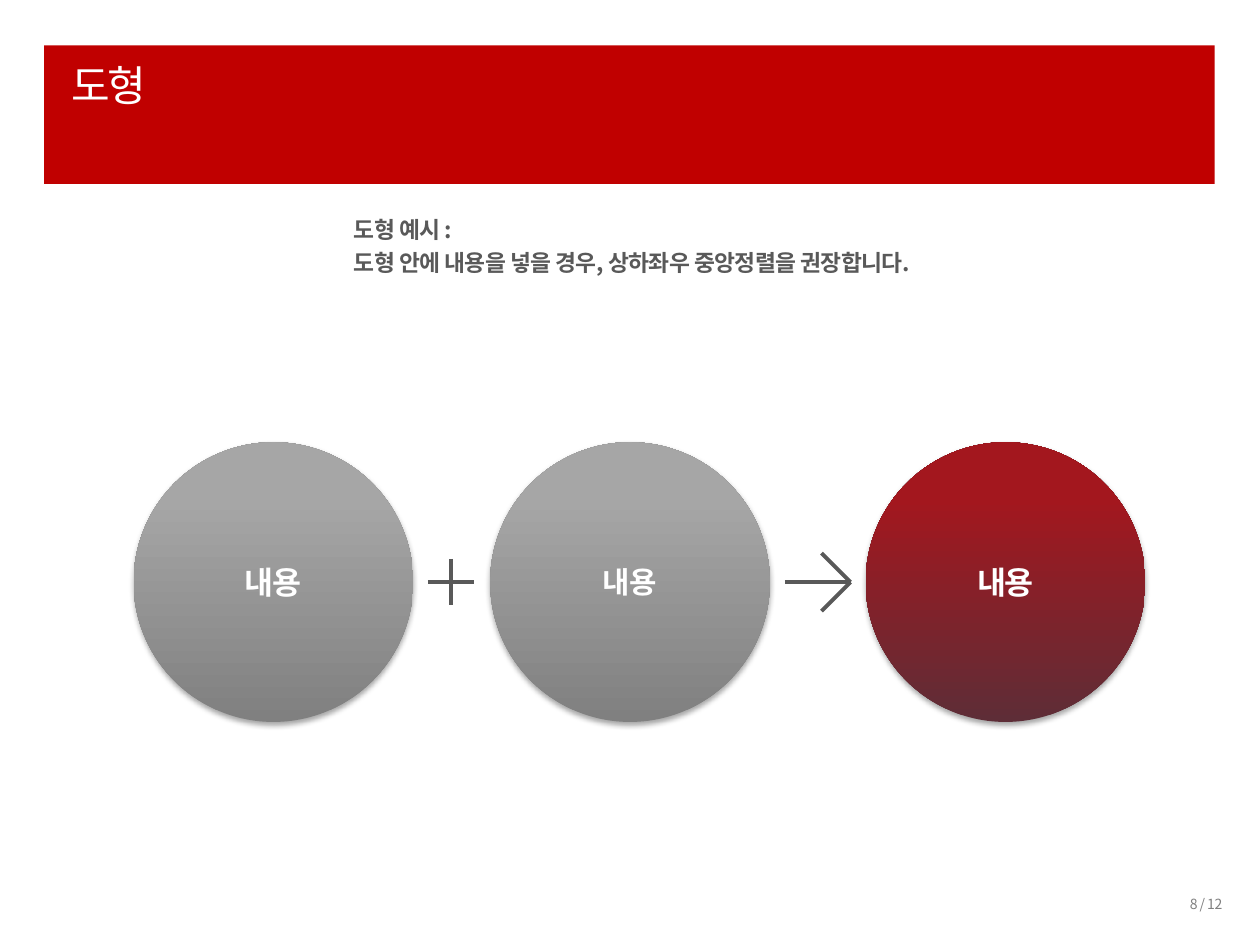
from lxml import etree
from pptx import Presentation
from pptx.dml.color import RGBColor
from pptx.enum import shapes, text
from pptx.oxml.ns import qn
from pptx.util import Inches, Pt

# Content
TITLE = "도형"
GUIDE = ["도형 예시 :", "도형 안에 내용을 넣을 경우, 상하좌우 중앙정렬을 권장합니다."]
PAGE = "8 / 12"
CIRCLES = [  # label, left, gradient name, type size, letter spacing
    ("내용", 1.06, "gray", 18, -0.5),
    ("내용", 3.89, "gray", 17, 0),
    ("내용", 6.87, "red", 18, -1.2),
]

THEME = {
    "font": "Noto Sans CJK KR",
    "white": "FFFFFF", "banner": "C00000", "dark": "595959", "muted": "808080",
    "gradients": {"gray": ("808080", "A6A6A6"), "red": ("5E2D37", "A3171E")},
    "title": 24, "guide": 13, "page": 8, "stroke": 2.25,
}

# Layout
DIAMETER, MIDDLE = 2.22, 4.62
PLUS_X, PLUS_ARM = 3.58, 0.185
ARROW_TAIL, ARROW_TIP, ARROW_HEAD = 6.23, 6.75, 0.23


def rgb(value):
    return RGBColor.from_string(value)


def style(paragraph, size, color, bold=False, spacing=0):
    paragraph.font.name = THEME["font"]
    paragraph.font.size = Pt(size)
    paragraph.font.bold = bold
    paragraph.font.color.rgb = rgb(color)
    defaults = paragraph._p.pPr.find(qn("a:defRPr"))
    defaults.set("spc", str(round(spacing * 100)))
    east_asian = etree.SubElement(defaults, qn("a:ea"))
    east_asian.set("typeface", THEME["font"])


def add_text(slide, box, lines, size, color, align=text.PP_ALIGN.LEFT,
             line_spacing=1.0, **looks):
    frame = slide.shapes.add_textbox(*map(Inches, box)).text_frame
    frame.word_wrap = True
    frame.text = "\n".join(lines)
    for paragraph in frame.paragraphs:
        paragraph.alignment = align
        paragraph.line_spacing = line_spacing
        style(paragraph, size, color, **looks)


def add_stroke(slide, x1, y1, x2, y2):
    stroke = slide.shapes.add_connector(
        shapes.MSO_CONNECTOR.STRAIGHT, *map(Inches, (x1, y1, x2, y2)))
    stroke.line.color.rgb = rgb(THEME["dark"])
    stroke.line.width = Pt(THEME["stroke"])
    etree.SubElement(stroke._element.spPr, qn("a:effectLst"))


def add_shadow(shape):
    effects = shape._element.spPr.find(qn("a:effectLst"))
    shadow = etree.SubElement(
        effects, qn("a:outerShdw"), blurRad=str(Pt(3.1)), dist=str(Pt(1.8)),
        dir="5400000", algn="t", rotWithShape="0")
    color = etree.SubElement(shadow, qn("a:srgbClr"), val="000000")
    etree.SubElement(color, qn("a:alpha"), val="35000")


def add_circle(slide, label, left, gradient, size, spacing):
    circle = slide.shapes.add_shape(
        shapes.MSO_SHAPE.OVAL,
        *map(Inches, (left, MIDDLE - DIAMETER / 2, DIAMETER, DIAMETER)))
    circle.fill.gradient()
    circle.fill.gradient_angle = 90
    stops = zip(circle.fill.gradient_stops, (0, 0.8), THEME["gradients"][gradient])
    for stop, position, color in stops:
        stop.position = position
        stop.color.rgb = rgb(color)
    circle.line.fill.background()
    circle.shadow.inherit = False
    add_shadow(circle)
    frame = circle.text_frame
    frame.text = label
    frame.vertical_anchor = text.MSO_ANCHOR.MIDDLE
    frame.paragraphs[0].alignment = text.PP_ALIGN.CENTER
    style(frame.paragraphs[0], size, THEME["white"], bold=True, spacing=spacing)


def main():
    deck = Presentation()
    deck.slide_width, deck.slide_height = Inches(10), Inches(7.5)
    slide = deck.slides.add_slide(deck.slide_layouts[6])

    # Arrow
    for end in (-ARROW_HEAD, ARROW_HEAD):
        add_stroke(slide, ARROW_TIP - ARROW_HEAD, MIDDLE + end, ARROW_TIP, MIDDLE)
    add_stroke(slide, ARROW_TAIL, MIDDLE, ARROW_TIP, MIDDLE)

    # Plus sign
    add_stroke(slide, PLUS_X - PLUS_ARM, MIDDLE, PLUS_X + PLUS_ARM, MIDDLE)
    add_stroke(slide, PLUS_X, MIDDLE - PLUS_ARM, PLUS_X, MIDDLE + PLUS_ARM)

    # Circles
    for circle in CIRCLES:
        add_circle(slide, *circle)

    # Title banner
    banner = slide.shapes.add_shape(
        shapes.MSO_SHAPE.RECTANGLE, *map(Inches, (0.35, 0.36, 9.29, 1.1)))
    banner.fill.solid()
    banner.fill.fore_color.rgb = rgb(THEME["banner"])
    banner.line.fill.background()
    banner.shadow.inherit = False

    # Guide, page number and title
    add_text(slide, (2.71, 1.62, 6.72, 0.63), GUIDE, THEME["guide"], THEME["dark"],
             line_spacing=1.2, bold=True, spacing=-0.3)
    add_text(slide, (8.07, 7.06, 1.73, 0.24), [PAGE], THEME["page"], THEME["muted"],
             align=text.PP_ALIGN.RIGHT, spacing=-0.3)
    add_text(slide, (0.47, 0.42, 9, 0.95), [TITLE], THEME["title"], THEME["white"],
             spacing=-1.5)

    deck.save("out.pptx")


if __name__ == "__main__":
    main()
